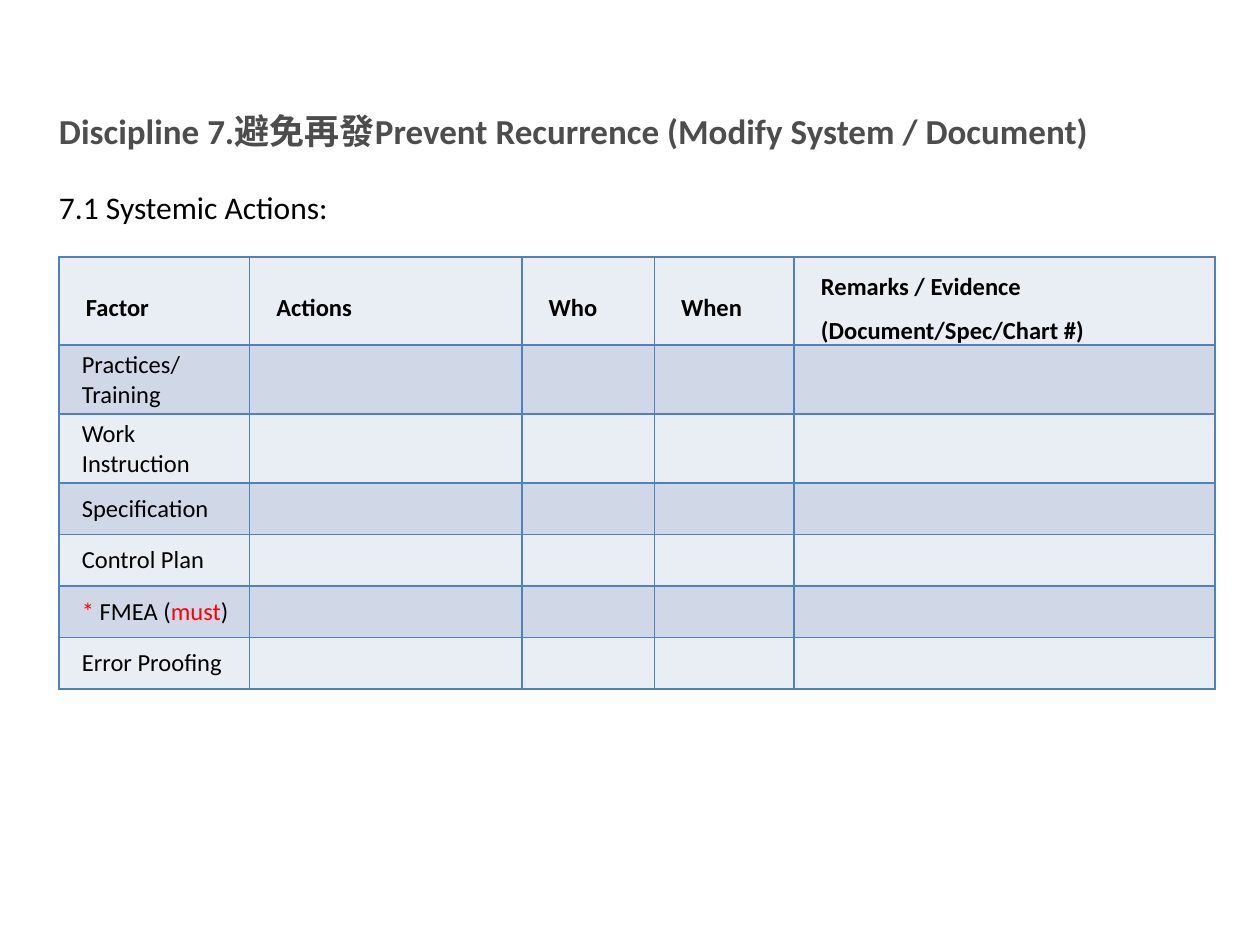
from lxml import etree
from pptx import Presentation
from pptx.dml.color import RGBColor
from pptx.enum.text import MSO_ANCHOR, MSO_AUTO_SIZE
from pptx.oxml.ns import qn
from pptx.util import Cm, Pt

MIDDLE, TOP = MSO_ANCHOR.MIDDLE, MSO_ANCHOR.TOP
GROW = MSO_AUTO_SIZE.SHAPE_TO_FIT_TEXT

FONT = "Calibri"
COLORS = {
    "title": "4D4D4D",
    "text": "000000",
    "must": "FF0000",
    "light": "E9EDF4",
    "dark": "D0D8E8",
    "border": "4F81BD",
}

TITLE = "Discipline 7.避免再發Prevent Recurrence (Modify System / Document)"
SUBTITLE = "7.1 Systemic Actions:"
HEADERS = [
    ["Factor"],
    ["Actions"],
    ["Who"],
    ["When"],
    ["Remarks / Evidence", "(Document/Spec/Chart #)"],
]
FACTORS = [
    [("Practices/ Training", "text")],
    [("Work Instruction", "text")],
    [("Specification", "text")],
    [("Control Plan", "text")],
    [("*", "must"), (" FMEA (", "text"), ("must", "must"), (")", "text")],
    [("Error Proofing", "text")],
]

COLUMN_WIDTHS = [3.84, 5.49, 2.67, 2.82, 8.48]
HEADER_HEIGHT, FACTOR_HEIGHT = 1.55, 1.04
TEXT_INDENT = Cm(0.36)


def rgb(name):
    return RGBColor.from_string(COLORS[name])


def set_font(font, size, color=None, bold=False):
    font.name = FONT
    font.size = Pt(size)
    font.bold = bold
    if color:
        font.color.rgb = rgb(color)


def add_heading(slide, text, top, width, height, size, color, bold, anchor):
    heading = slide.shapes.add_textbox(Cm(0.94), Cm(top), Cm(width), Cm(height))
    frame = heading.text_frame
    frame.word_wrap = True
    frame.auto_size = GROW
    frame.vertical_anchor = anchor
    frame.text = text
    set_font(frame.paragraphs[0].font, size, color, bold)


def style_cell(cell, fill):
    properties = cell._tc.get_or_add_tcPr()
    for side in ("a:lnL", "a:lnR", "a:lnT", "a:lnB"):
        line = etree.SubElement(properties, qn(side), w=str(Pt(1)))
        solid = etree.SubElement(line, qn("a:solidFill"))
        etree.SubElement(solid, qn("a:srgbClr"), val=COLORS["border"])
    cell.fill.solid()
    cell.fill.fore_color.rgb = rgb(fill)


def set_margins(cell, side, vertical):
    cell.vertical_anchor = MIDDLE
    cell.margin_left = cell.margin_right = Cm(side)
    cell.margin_top = cell.margin_bottom = Cm(vertical)


def indent(paragraph):
    paragraph._p.get_or_add_pPr().set("marL", str(TEXT_INDENT))


def fill_header(cell, lines):
    set_margins(cell, 0.18, 0)
    cell.text = "\n".join(lines)
    for paragraph in cell.text_frame.paragraphs:
        indent(paragraph)
        paragraph.line_spacing = 1.5
        set_font(paragraph.font, 14, "text", True)


def fill_factor(cell, parts):
    set_margins(cell, 0.1, 0.1)
    paragraph = cell.text_frame.paragraphs[0]
    indent(paragraph)
    set_font(paragraph.font, 14)
    for text, color in parts:
        run = paragraph.add_run()
        run.text = text
        run.font.color.rgb = rgb(color)


def add_actions_table(slide):
    heights = [HEADER_HEIGHT] + [FACTOR_HEIGHT] * len(FACTORS)
    table = slide.shapes.add_table(
        len(heights), len(HEADERS), Cm(1.19), Cm(5.18),
        Cm(sum(COLUMN_WIDTHS)), Cm(sum(heights)),
    ).table
    table.first_row = False
    table.horz_banding = False
    for column, width in zip(table.columns, COLUMN_WIDTHS):
        column.width = Cm(width)
    for index, (row, height) in enumerate(zip(table.rows, heights)):
        row.height = Cm(height)
        for cell in row.cells:
            style_cell(cell, "dark" if index % 2 else "light")
    for column, lines in enumerate(HEADERS):
        fill_header(table.cell(0, column), lines)
    for row, parts in enumerate(FACTORS, start=1):
        fill_factor(table.cell(row, 0), parts)


def main():
    deck = Presentation()
    deck.slide_width, deck.slide_height = Cm(25.4), Cm(19.05)
    slide = deck.slides.add_slide(deck.slide_layouts[6])
    add_heading(slide, TITLE, 2.08, 24.46, 1.12, 20, "title", True, MIDDLE)
    add_heading(slide, SUBTITLE, 3.66, 6.6, 1.02, 18, "text", False, TOP)
    add_actions_table(slide)
    deck.save("out.pptx")


if __name__ == "__main__":
    main()
